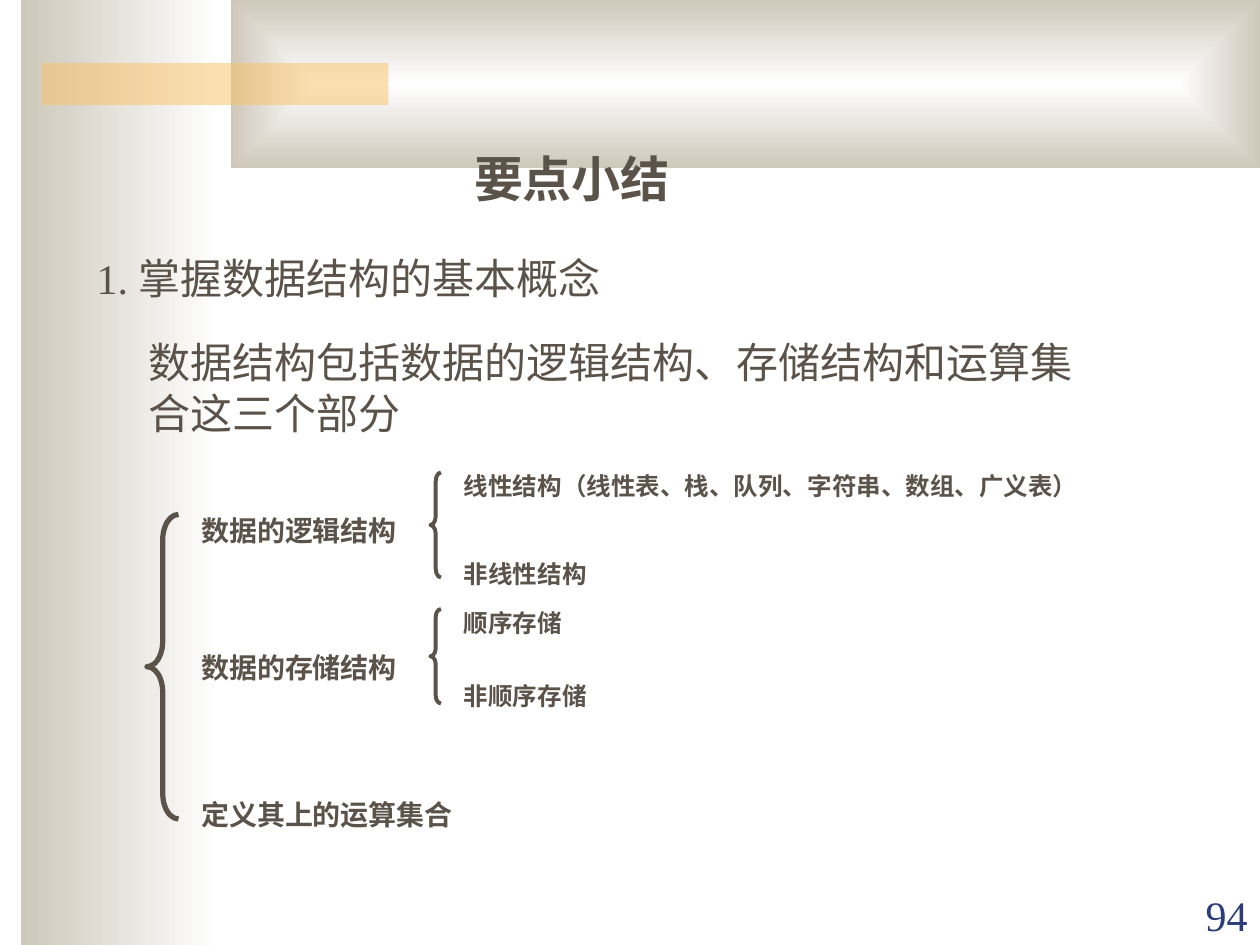
from lxml.etree import SubElement
from pptx import Presentation
from pptx.dml.color import RGBColor
from pptx.enum.shapes import MSO_SHAPE
from pptx.enum.text import MSO_ANCHOR, PP_ALIGN
from pptx.oxml.ns import qn
from pptx.util import Pt

COLORS = {
    "text": "5B5249",
    "white": "FFFFFF",
    "sand": "CEC8BA",
    "amber": "FAC164",
    "number": "2A3D7A",
}
CJK = "Noto Sans CJK SC"
LATIN = "Times New Roman"


def rgb(name):
    return RGBColor.from_string(COLORS[name])


class SummarySlide:
    def __init__(self, prs):
        self.slide = prs.slides.add_slide(prs.slide_layouts[1])
        self.backdrop_count = 0

    def place(self, shape, left, top, width, height):
        shape.left, shape.top = Pt(left), Pt(top)
        shape.width, shape.height = Pt(width), Pt(height)

    def backdrop(self, left, top, width, height):
        """Add a plain rectangle behind the placeholders."""
        panel = self.slide.shapes.add_shape(
            MSO_SHAPE.RECTANGLE, Pt(left), Pt(top), Pt(width), Pt(height))
        panel.shadow.inherit = False
        panel.line.fill.background()
        self.slide.shapes._spTree.insert(2 + self.backdrop_count, panel._element)
        self.backdrop_count += 1
        return panel

    def gradient_panel(self, *box, from_center=False):
        panel = self.backdrop(*box)
        panel.fill.gradient()
        panel.fill.gradient_angle = 180
        for stop, position, name in zip(
                panel.fill.gradient_stops, (0, 1), ("white", "sand")):
            stop.position = position
            stop.color.rgb = rgb(name)
        if from_center:
            gradient = panel._element.spPr.find(qn("a:gradFill"))
            gradient.remove(gradient.find(qn("a:lin")))
            center = SubElement(gradient, qn("a:path"), path="rect")
            SubElement(center, qn("a:fillToRect"),
                       l="50000", t="50000", r="50000", b="50000")

    def translucent_bar(self, *box):
        bar = self.backdrop(*box)
        bar.fill.solid()
        bar.fill.fore_color.rgb = rgb("amber")
        color = bar._element.spPr.find(qn("a:solidFill"))[0]
        SubElement(color, qn("a:alpha"), val="50000")

    def style_run(self, run, size, bold=False, font=CJK, color="text"):
        run.font.size, run.font.bold = Pt(size), bold
        run.font.name = font
        run.font.color.rgb = rgb(color)
        SubElement(run._r.get_or_add_rPr(), qn("a:ea"), typeface=CJK)

    def set_text(self, shape, text, size, align=PP_ALIGN.LEFT,
                 anchor=MSO_ANCHOR.TOP, font=CJK, **style):
        frame = shape.text_frame
        frame.word_wrap = True
        frame.vertical_anchor = anchor
        frame.margin_left = frame.margin_right = Pt(7.2)
        frame.margin_top = frame.margin_bottom = Pt(3.6)
        frame.text = text
        paragraph = frame.paragraphs[0]
        paragraph.alignment = align
        paragraph.space_before = Pt(0)
        if anchor == MSO_ANCHOR.TOP:
            # Tighten the tall CJK line and keep its optical position
            paragraph.line_spacing = Pt(1.2 * size)
            frame.margin_top = Pt(3.6 + 0.12 * size)
        for run in paragraph.runs:
            self.style_run(run, size, font=font, **style)
        return paragraph

    def title(self, text, *box):
        heading = self.slide.shapes.title
        self.place(heading, *box)
        self.set_text(heading, text, 28, bold=True, align=PP_ALIGN.CENTER)

    def point(self, number, text, *box):
        body = self.slide.placeholders[1]
        self.place(body, *box)
        paragraph = self.set_text(body, number, 24, font=LATIN)
        properties = paragraph._p.get_or_add_pPr()
        properties.set("marL", "0")
        properties.set("indent", "0")
        SubElement(properties, qn("a:buNone"))
        statement = paragraph.add_run()
        statement.text = text
        self.style_run(statement, 24)

    def label(self, text, left, top, width, height, size, **style):
        box = self.slide.shapes.add_textbox(
            Pt(left), Pt(top), Pt(width), Pt(height))
        self.set_text(box, text, size, **style)

    def brace(self, left, top, width, height, weight):
        brace = self.slide.shapes.add_shape(
            MSO_SHAPE.LEFT_BRACE, Pt(left), Pt(top), Pt(width), Pt(height))
        brace.shadow.inherit = False
        brace.fill.background()
        brace.line.color.rgb = rgb("text")
        brace.line.width = Pt(weight)
        # Each bend is one twelfth of the height
        brace.adjustments[0] = height / width / 12


def main():
    prs = Presentation()
    prs.slide_width, prs.slide_height = Pt(720), Pt(540)
    summary = SummarySlide(prs)

    # Backdrop
    summary.gradient_panel(12, 0, 114, 540)
    summary.gradient_panel(132, 0, 588, 96, from_center=True)
    summary.translucent_bar(24, 36, 198, 24)

    # Heading and main point
    summary.title("要点小结 ", 84, 78, 492, 41)
    summary.point("1. ", "掌握数据结构的基本概念", 48, 138, 480, 36)
    summary.label("数据结构包括数据的逻辑结构、存储结构和运算集合这三个部分",
                  78, 186, 552, 65, 24)

    # Three parts of a data structure
    summary.brace(84, 294, 18, 174, 3)
    for part, top, width in (("数据的逻辑结构", 288, 132),
                             ("数据的存储结构", 366, 132),
                             ("定义其上的运算集合", 450, 162)):
        summary.label(part, 108, top, width, 26.5, 16, bold=True)

    # Kinds within the first two parts
    for top, height in ((270, 60), (348, 54)):
        summary.brace(246, top, 6, height, 2.25)
    for kind, top, width in (
            ("线性结构（线性表、栈、队列、字符串、数组、广义表）", 264, 366),
            ("非线性结构 ", 314, 108),
            ("顺序存储", 342, 84),
            ("非顺序存储", 384, 96)):
        summary.label(kind, 258, top, width, 24.5, 14, bold=True)

    # Page number
    summary.label("94", 648, 504.5, 72, 36, 24, align=PP_ALIGN.RIGHT,
                  anchor=MSO_ANCHOR.BOTTOM, font=LATIN, color="number")

    prs.save("out.pptx")


if __name__ == "__main__":
    main()
